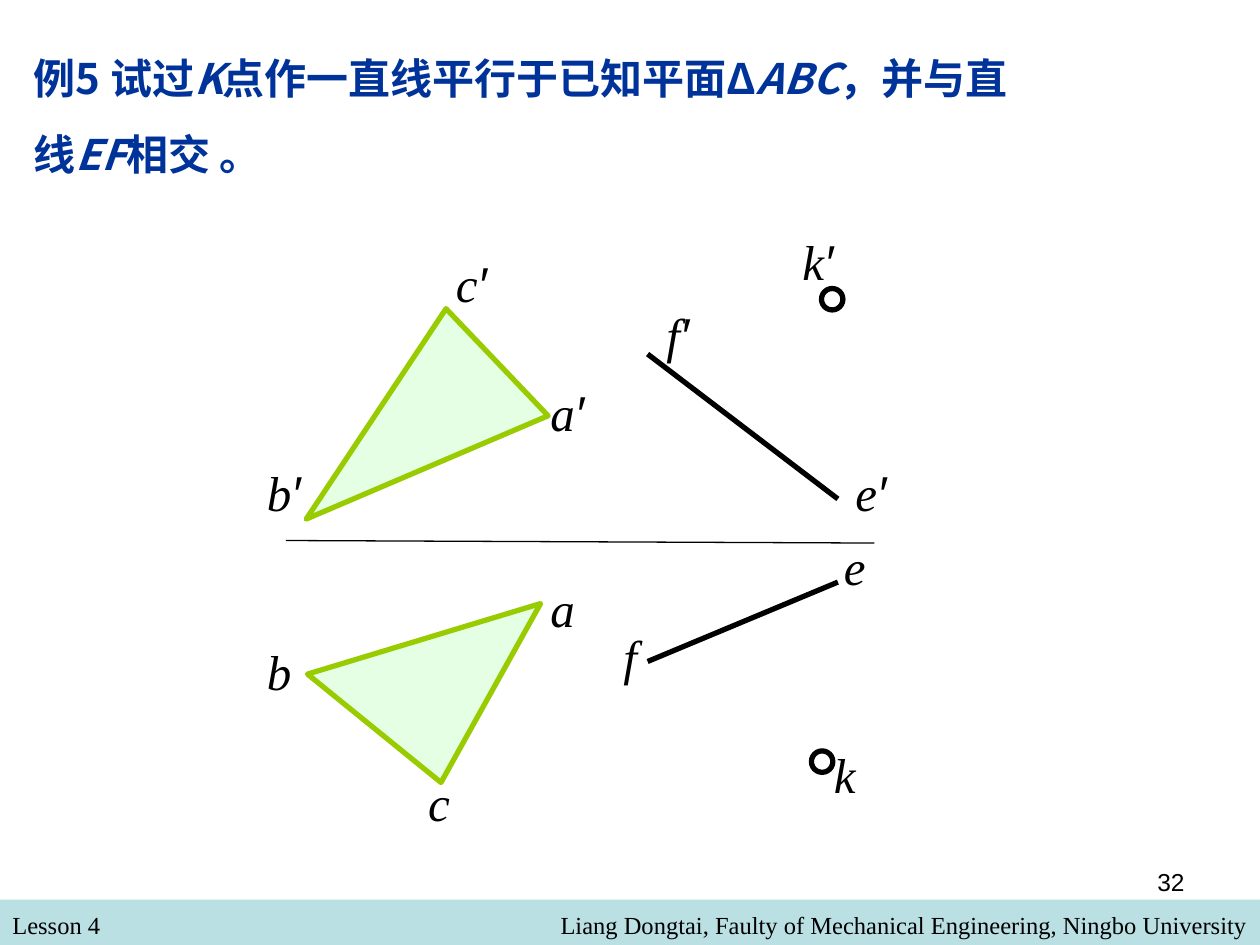
from lxml import etree
from pptx import Presentation
from pptx.dml.color import RGBColor
from pptx.enum import shapes, text
from pptx.oxml.ns import qn
from pptx.util import Inches, Pt


def color(value):
    return RGBColor.from_string(value)


def add_text(slide, runs, left, top, width, height, size=28, fill="000000",
             bold=False, align=text.PP_ALIGN.LEFT, spacing=None):
    box = slide.shapes.add_textbox(Inches(left), Inches(top), Inches(width), Inches(height))
    box.text_frame.word_wrap = True
    paragraph = box.text_frame.paragraphs[0]
    paragraph.alignment = align
    paragraph.line_spacing = spacing
    for content, font_name, italic in runs:
        run = paragraph.add_run()
        run.text = content
        run.font.size = Pt(size)
        run.font.bold = bold
        run.font.italic = italic
        run.font.color.rgb = color(fill)
        run.font.name = font_name
        east_asian = etree.SubElement(run.font._element, qn("a:ea"))
        east_asian.set("typeface", font_name)


SERIF, SANS, CJK = "Times New Roman", "Arial", "Noto Sans CJK SC"
RIGHT = text.PP_ALIGN.RIGHT

presentation = Presentation()
presentation.slide_width = Inches(10)
presentation.slide_height = Inches(7.5)
slide = presentation.slides.add_slide(presentation.slide_layouts[6])

footer = slide.shapes.add_shape(shapes.MSO_SHAPE.RECTANGLE, 0, Inches(7.14), Inches(10), Inches(0.36))
footer.shadow.inherit = False
footer.fill.solid()
footer.fill.fore_color.rgb = color("BBE0E3")
footer.line.fill.background()
add_text(slide, [("Lesson 4", SERIF, False)], 0, 7.17, 4.83, 0.34, size=14)
add_text(slide, [("Liang Dongtai, Faulty of Mechanical Engineering, Ningbo University", SERIF, False)],
         1.83, 7.17, 8.17, 0.34, size=14, align=RIGHT)
add_text(slide, [("32", SANS, False)], 7.17, 6.83, 2.33, 0.52, size=14, align=RIGHT)

triangles = [
    [(3.5, 6.21), (2.44, 5.35), (4.29, 4.79)],
    [(2.43, 4.12), (3.54, 2.45), (4.35, 3.3)],
]
for corners in triangles:
    points = [(Inches(x), Inches(y)) for x, y in corners]
    builder = slide.shapes.build_freeform(*points[0])
    builder.add_line_segments(points[1:], close=True)
    triangle = builder.convert_to_shape()
    triangle.shadow.inherit = False
    triangle.fill.solid()
    triangle.fill.fore_color.rgb = color("CCFFCC")
    fill_color = triangle._element.spPr.find(qn("a:solidFill"))[0]
    etree.SubElement(fill_color, qn("a:alpha")).set("val", "50000")
    triangle.line.color.rgb = color("99CC00")
    triangle.line.width = Pt(3)

lines = [
    (2.27, 4.29, 6.94, 4.31, 0.75),
    (6.65, 3.96, 5.14, 2.81, 3),
    (5.14, 5.25, 6.65, 4.62, 3),
]
for x1, y1, x2, y2, weight in lines:
    line = slide.shapes.add_connector(shapes.MSO_CONNECTOR.STRAIGHT,
                                      Inches(x1), Inches(y1), Inches(x2), Inches(y2))
    line.line.color.rgb = color("000000")
    line.line.width = Pt(weight)
    etree.SubElement(line._element.spPr, qn("a:effectLst"))

labels = [
    ("a", 4.27, 4.54, 0.31), ("b", 2.02, 5.04, 0.45), ("c", 3.3, 6.08, 0.28),
    ("e", 6.6, 4.21, 0.57), ("f", 4.85, 4.92, 0.5), ("k", 6.52, 5.86, 0.27),
    ("a′", 4.27, 2.99, 0.75), ("b′", 2.02, 3.62, 1.07), ("c′", 3.52, 1.96, 0.98),
    ("e′", 6.69, 3.62, 0.87), ("f′", 5.19, 2.37, 0.57), ("k′", 6.27, 1.79, 0.67),
]
for label, left, top, width in labels:
    runs = [(letter, SANS if letter == "′" else SERIF, True) for letter in label]
    add_text(slide, runs, left, top, width, 0.57)

for left, top in [(6.44, 5.96), (6.52, 2.29)]:
    point = slide.shapes.add_shape(shapes.MSO_SHAPE.OVAL, Inches(left), Inches(top),
                                   Inches(0.17), Inches(0.17))
    point.shadow.inherit = False
    point.fill.solid()
    point.fill.fore_color.rgb = color("FFFFFF")
    point.line.color.rgb = color("000000")
    point.line.width = Pt(3)

problem = ["例5 试过", "K", "点作一直线平行于已知平面Δ", "ABC", "，并与直线", "EF", "相交 。"]
add_text(slide, [(part, CJK, index % 2 == 1) for index, part in enumerate(problem)],
         0.17, 0.17, 8.24, 1.33, size=24, fill="003399", bold=True, spacing=1.5)

presentation.save("out.pptx")
